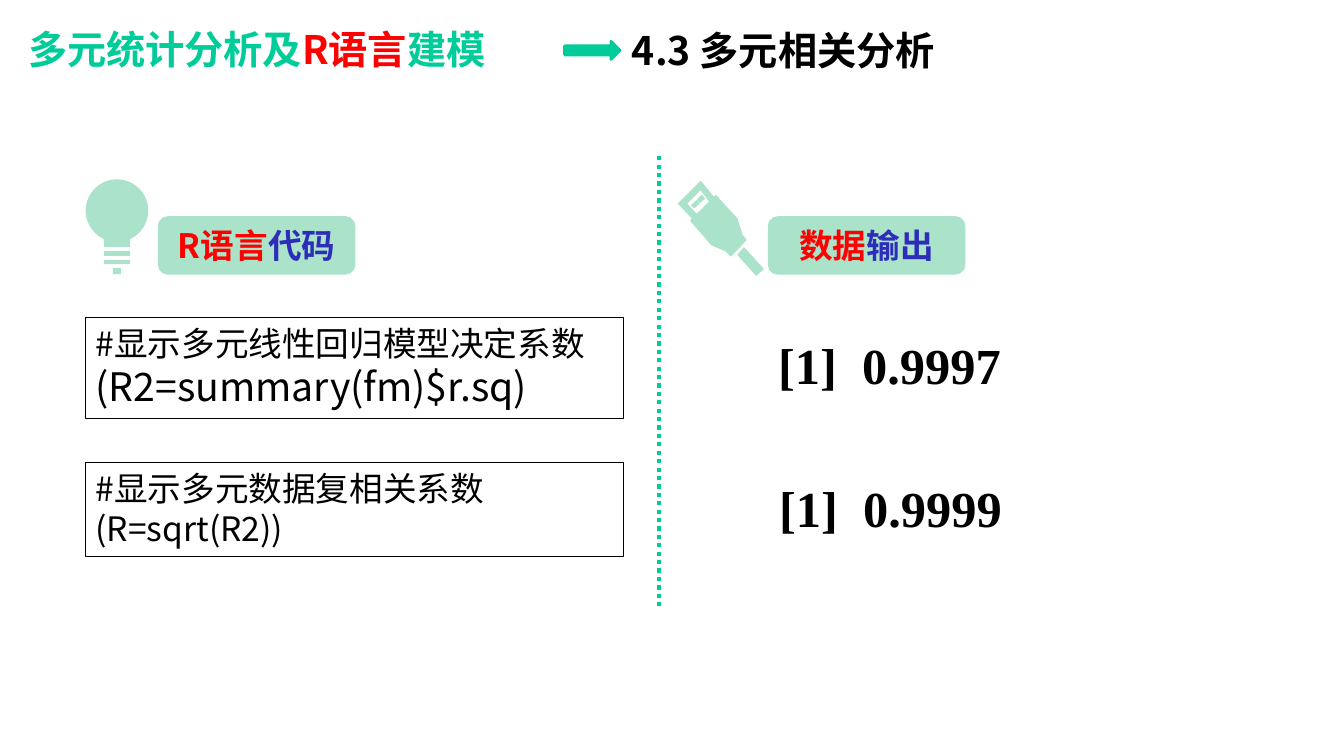
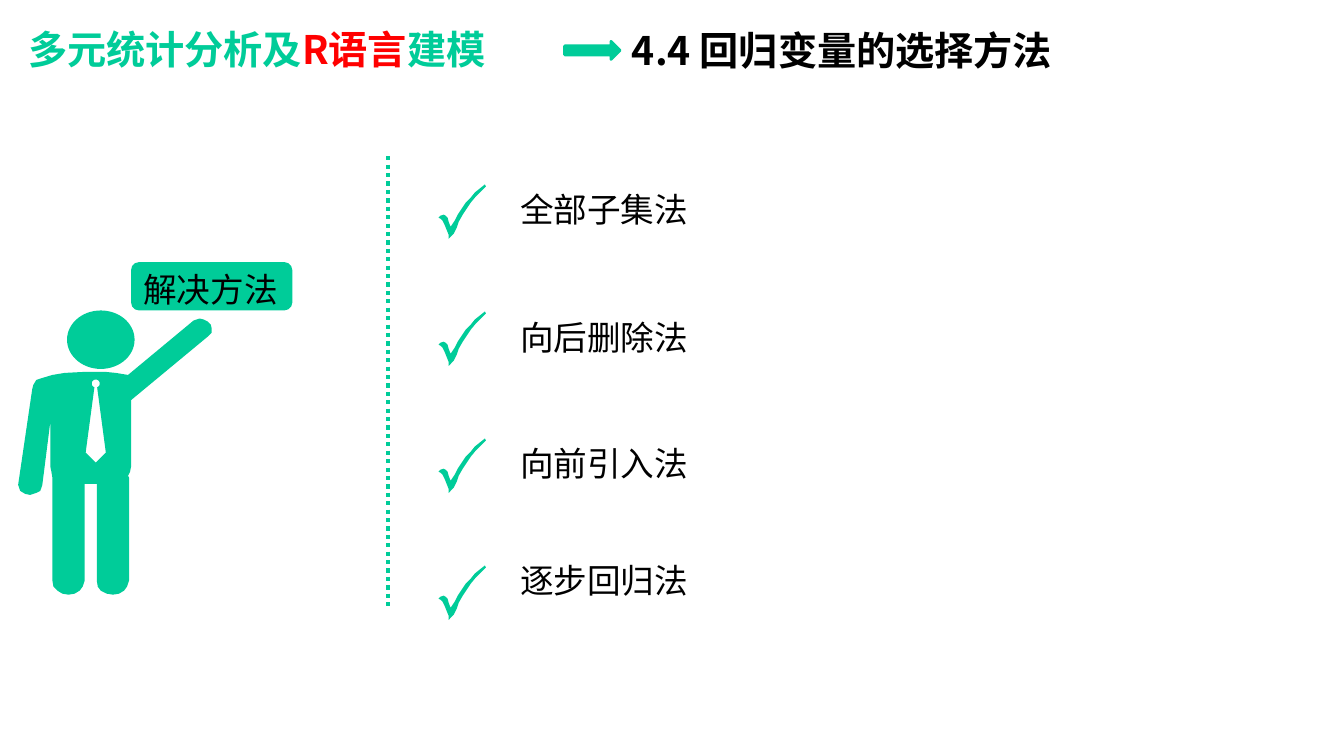
"""Two slides on multiple correlation and on choosing regression variables."""
from math import cos, radians, sin
from lxml.etree import SubElement
from pptx import Presentation
from pptx.dml.color import RGBColor
from pptx.enum.dml import MSO_LINE
from pptx.enum.shapes import MSO_CONNECTOR, MSO_SHAPE
from pptx.enum.text import MSO_ANCHOR, MSO_AUTO_SIZE, PP_ALIGN
from pptx.oxml.ns import qn
from pptx.util import Inches, Pt

HUES = {"green": "00CC99", "mint": "AAE2CA", "red": "FF0000", "blue": "2D2DB9", "black": "000000"}
INK = {name: RGBColor.from_string(code) for name, code in HUES.items()}
SANS = "Noto Sans CJK SC"
SERIF = "Times New Roman"


def write(shape, lines, size=24, bold=False, face=SANS, align=PP_ALIGN.LEFT, wrap=True, grow=True):
    frame = shape.text_frame
    frame.word_wrap = wrap
    frame.auto_size = MSO_AUTO_SIZE.SHAPE_TO_FIT_TEXT if grow else MSO_AUTO_SIZE.NONE
    frame.vertical_anchor = MSO_ANCHOR.TOP if align == PP_ALIGN.LEFT else MSO_ANCHOR.MIDDLE
    for i, line in enumerate(lines):
        para = frame.add_paragraph() if i else frame.paragraphs[0]
        para.alignment = align
        for text, hue, *own in line:
            run = para.add_run()
            run.text = text
            run.font.size = Pt(own[0] if own else size)
            run.font.bold = bold
            run.font.color.rgb = INK[hue]
            run.font.name = face
            SubElement(run._r.get_or_add_rPr(), qn("a:ea"), typeface=face)


def draw(slide, loops, hue, edge=False):
    loops = [[(Inches(x), Inches(y)) for x, y in loop] for loop in loops]
    pen = slide.shapes.build_freeform(*loops[0][0])
    pen.add_line_segments(loops[0][1:], close=True)
    for loop in loops[1:]:
        pen.move_to(*loop[0])
        pen.add_line_segments(loop[1:], close=True)
    shape = pen.convert_to_shape()
    shape.shadow.inherit = False
    shape.fill.solid()
    shape.fill.fore_color.rgb = INK[hue]
    if edge:
        shape.line.color.rgb = INK[hue]
        shape.line.width = Pt(0.75)
    else:
        shape.line.fill.background()


deck = Presentation()
deck.slide_width, deck.slide_height = Inches(13.33), Inches(7.5)

slides = []
for title, split in [("4.3 多元相关分析", 6.54), ("4.4 回归变量的选择方法", 3.85)]:
    slide = deck.slides.add_slide(deck.slide_layouts[6])
    slides.append(slide)
    rule = slide.shapes.add_connector(
        MSO_CONNECTOR.STRAIGHT, Inches(split), Inches(1.55), Inches(split), Inches(6.04))
    rule.line.color.rgb = INK["green"]
    rule.line.width = Pt(3)
    rule.line.dash_style = MSO_LINE.ROUND_DOT
    SubElement(rule._element.spPr, qn("a:effectLst"))
    book = slide.shapes.add_textbox(Inches(0.18), Inches(0.2), Inches(5.57), Inches(0.57))
    write(book, [[("多元统计分析及", "green"), ("R语言", "red"), ("建模", "green")]], 28, True)
    head = slide.shapes.add_textbox(Inches(6.17), Inches(0.21), Inches(6.27), Inches(0.6))
    write(head, [[(title, "black")]], 28, True)
    arrow = slide.shapes.add_shape(
        MSO_SHAPE.RIGHT_ARROW, Inches(5.6), Inches(0.41), Inches(0.55), Inches(0.18))
    arrow.shadow.inherit = False
    arrow.fill.solid()
    arrow.fill.fore_color.rgb = INK["green"]
    arrow.line.color.rgb = INK["green"]
    arrow.line.width = Pt(2)

code, ways = slides

for left, first, last in [(1.57, "R语言", "代码"), (7.62, "数据", "输出")]:
    chip = code.shapes.add_shape(
        MSO_SHAPE.ROUNDED_RECTANGLE, Inches(left), Inches(2.15), Inches(1.95), Inches(0.57))
    chip.shadow.inherit = False
    chip.fill.solid()
    chip.fill.fore_color.rgb = INK["mint"]
    chip.line.color.rgb = INK["mint"]
    chip.line.width = Pt(0.75)
    write(chip, [[(first, "red"), (last, "blue")]], bold=True, align=PP_ALIGN.CENTER, grow=False)

for top, high, note, call, size in [
    (3.15, 1, "#显示多元线性回归模型决定系数", "(R2=summary(fm)$r.sq)", 28),
    (4.59, 0.93, "#显示多元数据复相关系数", "(R=sqrt(R2))", 24),
]:
    box = code.shapes.add_shape(
        MSO_SHAPE.RECTANGLE, Inches(0.85), Inches(top), Inches(5.33), Inches(high))
    box.shadow.inherit = False
    box.fill.background()
    box.line.color.rgb = INK["black"]
    box.line.width = Pt(0.75)
    write(box, [[(note, "black")], [(call, "black", size)]])

for left, top, text in [(7.62, 3.27, "[1]  0.9997"), (7.63, 4.68, "[1]  0.9999")]:
    out = code.shapes.add_textbox(Inches(left), Inches(top), Inches(2.78), Inches(0.71))
    write(out, [[(text, "black")]], 36, True, SERIF)

bulb = [(1.16 + 0.31 * cos(radians(a)), 2.09 + 0.31 * sin(radians(a))) for a in range(65, -246, -5)]
bulb += [(1.03, 2.45), (1.29, 2.45)]
bars = [(1.03, 1.29, 2.49, 2.54), (1.03, 1.29, 2.58, 2.62), (1.12, 1.2, 2.66, 2.72)]
draw(code, [bulb] + [[(l, t), (r, t), (r, b), (l, b)] for l, r, t, b in bars], "mint")

plug = [
    [(6.85, 2.19), (6.87, 2.17), (6.73, 2.02), (6.95, 1.8), (7.08, 1.96), (7.1, 1.94),
     (7.31, 2.17), (7.36, 2.33), (7.4, 2.38), (7.25, 2.54), (7.2, 2.49), (7.06, 2.43)],
    [(6.92, 1.98), (6.94, 2.01), (6.99, 1.97), (6.96, 1.94)],
    [(6.86, 2.04), (6.89, 2.06), (6.93, 2.02), (6.91, 1.99)],
    [(6.91, 2.13), (7.04, 2), (6.95, 1.88), (6.81, 2.02)],
    [(7.32, 2.53), (7.5, 2.73), (7.57, 2.67), (7.38, 2.46)],
]
draw(code, plug, "mint", True)

face = [(1 + 0.335 * cos(radians(a)), 3.37 + 0.29 * sin(radians(a))) for a in range(0, 360, 6)]
knot = [(0.95 + 0.04 * cos(radians(a)), 3.805 + 0.04 * sin(radians(a))) for a in range(110, 431, 20)]
tie = knot + [(1.05, 4.49), (0.95, 4.59), (0.85, 4.49)]
body = [
    (1.98, 3.16), (2.02, 3.17), (2.06, 3.19), (2.09, 3.22), (2.1, 3.26), (2.1, 3.3), (2.06, 3.34),
    (1.3, 3.97), (1.3, 4.63), (1.29, 4.68), (1.27, 4.72), (1.28, 4.74),
    (1.28, 5.76), (1.26, 5.82), (1.23, 5.86), (1.18, 5.89), (1.12, 5.9),
    (1.06, 5.89), (1, 5.86), (0.97, 5.82), (0.96, 5.76), (0.96, 4.8),
    (0.84, 4.8), (0.84, 5.76), (0.82, 5.82), (0.79, 5.86), (0.74, 5.89), (0.68, 5.9),
    (0.62, 5.89), (0.57, 5.86), (0.53, 5.82), (0.52, 5.76), (0.52, 4.74),
    (0.51, 4.68), (0.5, 4.63), (0.5, 4.18), (0.42, 4.81), (0.4, 4.87), (0.36, 4.89), (0.3, 4.91),
    (0.25, 4.9), (0.2, 4.87), (0.18, 4.81), (0.32, 3.86), (0.33, 3.82), (0.36, 3.77),
    (0.42, 3.75), (0.52, 3.72), (0.64, 3.7), (0.83, 3.69), (1.05, 3.69), (1.15, 3.7),
    (1.27, 3.72), (1.92, 3.18),
]
draw(ways, [body, tie, face], "green")

label = ways.shapes.add_shape(
    MSO_SHAPE.ROUNDED_RECTANGLE, Inches(1.3), Inches(2.6), Inches(1.6), Inches(0.48))
label.shadow.inherit = False
label.fill.solid()
label.fill.fore_color.rgb = INK["green"]
label.line.fill.background()
write(label, [[("解决方法", "black")]], grow=False)

tick = [
    (0.46, 0), (0.47, 0.02), (0.42, 0.07), (0.37, 0.12), (0.32, 0.18), (0.28, 0.24), (0.24, 0.3),
    (0.2, 0.37), (0.18, 0.43), (0.15, 0.49), (0.13, 0.51), (0.1, 0.54), (0.1, 0.5), (0.08, 0.45),
    (0.06, 0.4), (0.04, 0.36), (0.02, 0.34), (0, 0.33), (0.02, 0.31), (0.05, 0.3), (0.07, 0.31),
    (0.09, 0.33), (0.1, 0.37), (0.12, 0.42), (0.16, 0.36), (0.19, 0.3), (0.23, 0.24),
    (0.27, 0.18), (0.32, 0.13), (0.36, 0.08), (0.41, 0.04),
]
items = [("全部子集法", 1.83), ("向后删除法", 3.09), ("向前引入法", 4.34), ("逐步回归法", 5.51)]
for i, (text, top) in enumerate(items):
    draw(ways, [[(4.35 + x, 1.83 + 1.26 * i + y) for x, y in tick]], "green")
    item = ways.shapes.add_textbox(Inches(5.06), Inches(top), Inches(1.87), Inches(0.53))
    write(item, [[(text, "black")]], wrap=False)

deck.save("out.pptx")
